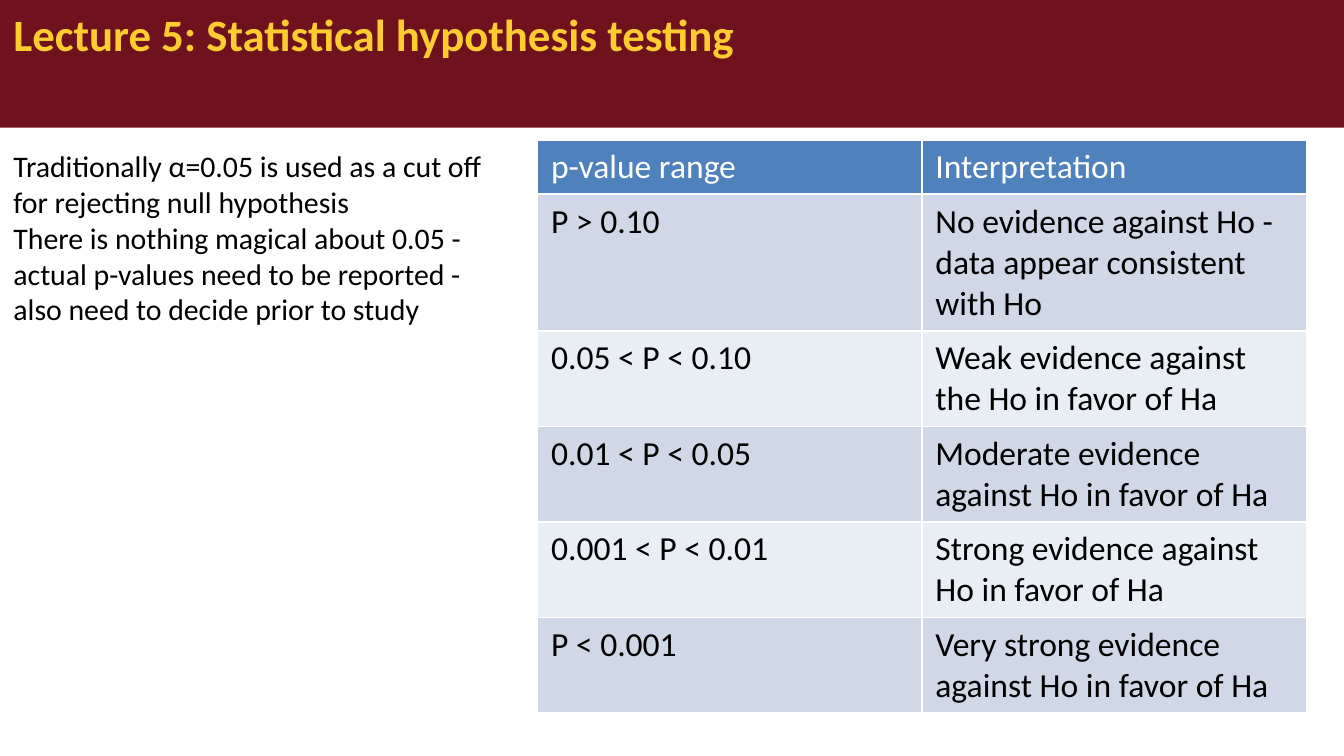
"""Build the lecture slide on interpreting p-values."""
from lxml import etree
from pptx import Presentation
from pptx.dml.color import RGBColor
from pptx.enum import text
from pptx.oxml import ns
from pptx.util import Inches, Pt

TITLE = "Lecture 5: Statistical hypothesis testing"
NOTES = [
    "Traditionally α=0.05 is used as a cut off for rejecting null hypothesis",
    "There is nothing magical about 0.05 - actual p-values need to be reported"
    " - also need to decide prior to study",
]
HEADER = ("p-value range", "Interpretation")
RANGES = [
    ("P > 0.10", "No evidence against Ho - data appear consistent with Ho"),
    ("0.05 < P < 0.10", "Weak evidence against the Ho in favor of Ha"),
    ("0.01 < P < 0.05", "Moderate evidence against Ho in favor of Ha"),
    ("0.001 < P < 0.01", "Strong evidence against Ho in favor of Ha"),
    ("P < 0.001", "Very strong evidence against Ho in favor of Ha"),
]
SLIDE_WIDTH = 10
SLIDE_HEIGHT = SLIDE_WIDTH * 9 / 16
ROW_HEIGHTS = [0.4, 1.01] + [0.71] * 4
COLUMN_WIDTH = 2.86

FONT = "Calibri"
MAROON = RGBColor(0x70, 0x12, 0x1D)
GOLD = RGBColor(0xFD, 0xCC, 0x31)
BLACK = RGBColor(0, 0, 0)
WHITE = RGBColor(0xFF, 0xFF, 0xFF)
BLUE = RGBColor(0x4F, 0x81, 0xBD)
BANDS = (RGBColor(0xD0, 0xD8, 0xE8), RGBColor(0xE9, 0xED, 0xF4))


def style(para, size, color, bold=False):
    para.alignment = text.PP_ALIGN.LEFT
    para.font.name = FONT
    para.font.size = Pt(size)
    para.font.bold = bold
    para.font.color.rgb = color


def place(box, left, top, width, height):
    box.left, box.top = Inches(left), Inches(top)
    box.width, box.height = Inches(width), Inches(height)
    frame = box.text_frame
    frame.auto_size = text.MSO_AUTO_SIZE.NONE
    frame.vertical_anchor = text.MSO_ANCHOR.TOP
    return frame


def add_title(page):
    box = page.shapes.title
    frame = place(box, 0, 0, SLIDE_WIDTH, 0.95)
    box.fill.solid()
    box.fill.fore_color.rgb = MAROON
    frame.text = TITLE
    style(frame.paragraphs[0], 24, GOLD, bold=True)


def add_notes(page):
    frame = place(page.placeholders[1], 0, 1.05, 3.87, 3.85)
    frame.text = "\n".join(NOTES)
    for para in frame.paragraphs:
        style(para, 16, BLACK)
        para.space_before = Pt(0)
        properties = para._p.get_or_add_pPr()
        properties.set("marL", "0")
        properties.set("indent", "0")
        bullet = etree.Element(ns.qn("a:buNone"))
        properties.insert_element_before(bullet, "a:tabLst", "a:defRPr", "a:extLst")


def add_ranges(page):
    rows = [HEADER] + RANGES
    table = page.shapes.add_table(
        len(rows), len(HEADER), Inches(4), Inches(1.04),
        Inches(COLUMN_WIDTH * len(HEADER)), Inches(sum(ROW_HEIGHTS)),
    ).table
    for column in table.columns:
        column.width = Inches(COLUMN_WIDTH)
    for index, (row, values) in enumerate(zip(table.rows, rows)):
        row.height = Inches(ROW_HEIGHTS[index])
        fill = BANDS[(index - 1) % 2] if index else BLUE
        for cell, value in zip(row.cells, values):
            cell.text = value
            cell.fill.solid()
            cell.fill.fore_color.rgb = fill
            style(cell.text_frame.paragraphs[0], 18, BLACK if index else WHITE)


def main():
    deck = Presentation()
    deck.slide_width, deck.slide_height = Inches(SLIDE_WIDTH), Inches(SLIDE_HEIGHT)
    page = deck.slides.add_slide(deck.slide_layouts[1])
    add_title(page)
    add_notes(page)
    add_ranges(page)
    deck.save("out.pptx")


if __name__ == "__main__":
    main()
